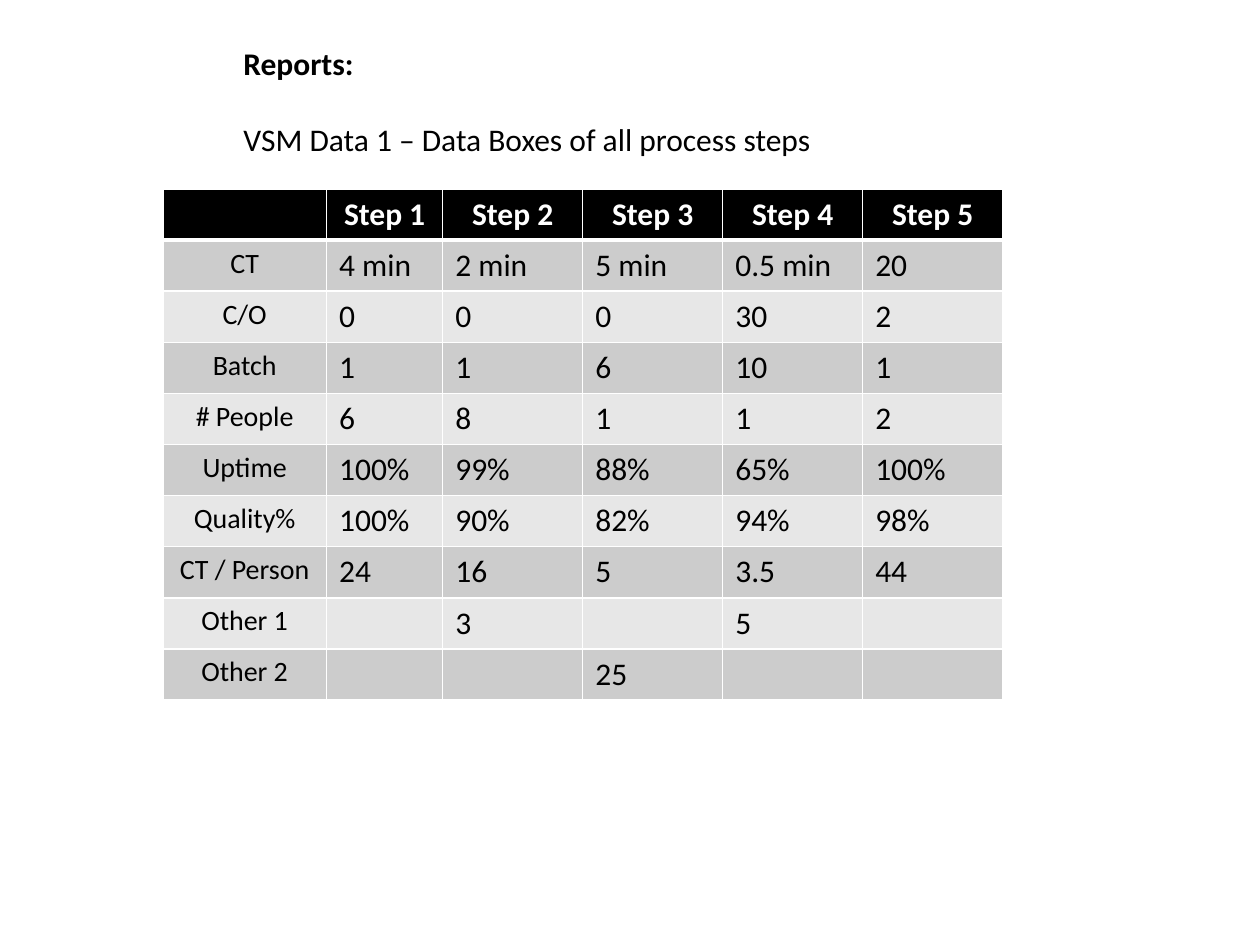
from lxml import etree
from pptx import Presentation
from pptx.dml.color import RGBColor
from pptx.enum import text
from pptx.oxml import ns
from pptx.util import Pt

COLORS = {"black": "000000", "white": "FFFFFF", "dark": "CCCCCC", "light": "E7E7E7"}
FONT = "Calibri"


def set_font(p, size, color, bold=False):
    p.font.name, p.font.size, p.font.bold = FONT, Pt(size), bold
    p.font.color.rgb = RGBColor.from_string(COLORS[color])


def add_border(cell, side, width):
    ln = etree.SubElement(cell._tc.get_or_add_tcPr(), ns.qn(f"a:ln{side}"), w=str(Pt(width)))
    fill = etree.SubElement(ln, ns.qn("a:solidFill"))
    etree.SubElement(fill, ns.qn("a:srgbClr"), val=COLORS["white"])


prs = Presentation()
prs.slide_width, prs.slide_height = Pt(720), Pt(540)
s = prs.slides.add_slide(prs.slide_layouts[6])

# Process data table
rows = [
    ["", "Step 1", "Step 2", "Step 3", "Step 4", "Step 5"],
    ["CT", "4 min", "2 min", "5 min", "0.5 min", "20"],
    ["C/O", "0", "0", "0", "30", "2"],
    ["Batch", "1", "1", "6", "10", "1"],
    ["# People", "6", "8", "1", "1", "2"],
    ["Uptime", "100%", "99%", "88%", "65%", "100%"],
    ["Quality%", "100%", "90%", "82%", "94%", "98%"],
    ["CT / Person", "24", "16", "5", "3.5", "44"],
    ["Other 1", "", "3", "", "5", ""],
    ["Other 2", "", "", "25", "", ""],
]
widths = [93.6, 66.4, 80, 80, 80, 80]
row_height = 29.2
table = s.shapes.add_table(len(rows), len(widths), Pt(93), Pt(108),
                           Pt(sum(widths)), Pt(row_height * len(rows))).table
table.horz_banding = False
for column, width in zip(table.columns, widths):
    column.width = Pt(width)

for i, values in enumerate(rows):
    table.rows[i].height = Pt(row_height)
    header = i == 0
    fill = "black" if header else "dark" if i % 2 else "light"
    for j, value in enumerate(values):
        cell = table.cell(i, j)
        # Thick rule between the header and the body
        for side, width in (("L", 1), ("R", 1), ("T", 3 if i == 1 else 1), ("B", 3 if header else 1)):
            add_border(cell, side, width)
        cell.fill.solid()
        cell.fill.fore_color.rgb = RGBColor.from_string(COLORS[fill])
        p = cell.text_frame.paragraphs[0]
        p.text = value
        if header or j == 0:
            p.alignment = text.PP_ALIGN.CENTER
        set_font(p, 18 if header or j else 16, "white" if header else "black", header)

# Heading and subtitle
tf = s.shapes.add_textbox(Pt(132), Pt(21.6), Pt(367), Pt(72.7)).text_frame
tf.word_wrap = True
tf.auto_size = text.MSO_AUTO_SIZE.SHAPE_TO_FIT_TEXT
p = tf.paragraphs[0]
p.text = "Reports:"
set_font(p, 18, "black", True)
p = tf.add_paragraph()
p.text = "VSM Data 1 – Data Boxes of all process steps"
p.space_before = Pt(22)
set_font(p, 18, "black")

prs.save("out.pptx")
